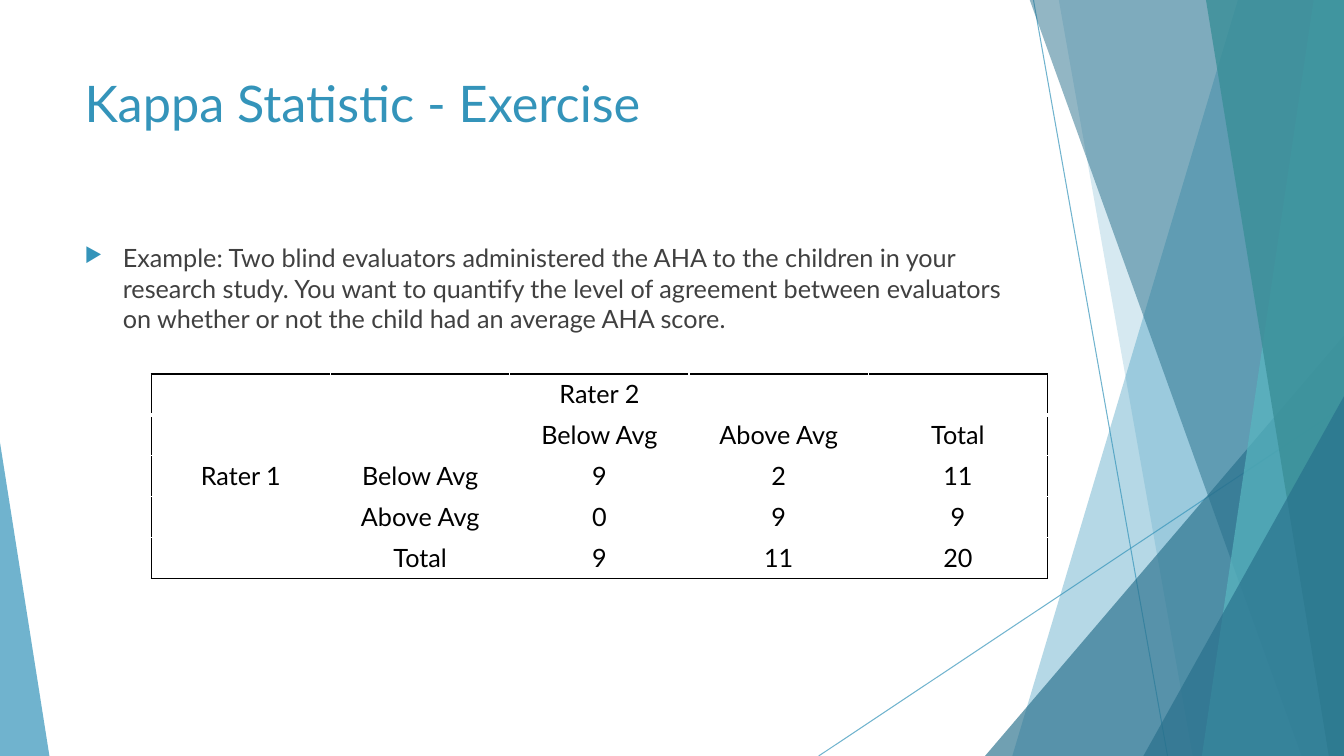
from lxml import etree
from pptx import Presentation
from pptx.dml.color import RGBColor
from pptx.enum.shapes import MSO_CONNECTOR as Connector, MSO_SHAPE as Shape
from pptx.enum.text import MSO_ANCHOR as Anchor, PP_ALIGN as Align
from pptx.oxml import parse_xml
from pptx.oxml.ns import nsdecls, qn
from pptx.util import Inches, Pt

BLUE = RGBColor(0x34, 0x94, 0xBA)
DEEP_BLUE = RGBColor(0x27, 0x6F, 0x8B)
TEAL = RGBColor(0x58, 0xB6, 0xC0)
DEEP_TEAL = RGBColor(0x3A, 0x8F, 0x98)
GREY = RGBColor(0x40, 0x40, 0x40)
BLACK = RGBColor(0, 0, 0)
WHITE = RGBColor(0xFF, 0xFF, 0xFF)
WIDTH, HEIGHT = 13.33, 7.5


def write(frame, text, size=18, color=BLACK, align=Align.LEFT):
    frame.word_wrap = True
    para = frame.paragraphs[0]
    para.alignment = align
    span = para.add_run()
    span.text = text
    span.font.name = "Lato"
    span.font.size = Pt(size)
    span.font.color.rgb = color
    return para


def set_opacity(item, percent):
    for color in item._element.spPr.iter(qn("a:srgbClr")):
        etree.SubElement(color, qn("a:alpha"), val=str(percent * 1000))


deck = Presentation()
deck.slide_width, deck.slide_height = Inches(WIDTH), Inches(HEIGHT)
page = deck.slides.add_slide(deck.slide_layouts[6])

# Thin crossing lines
for ends in [(10.25, 0, 11.58, HEIGHT), (WIDTH, 4.03, 8.12, HEIGHT)]:
    line = page.shapes.add_connector(Connector.STRAIGHT, *map(Inches, ends))
    line.line.color.rgb = BLUE
    line.line.width = Pt(0.75)
    set_opacity(line, 70)
    etree.SubElement(line._element.spPr, qn("a:effectLst"))

# Translucent facets, back to front: bands run from a slanted left side
# (top x, bottom x) to the right edge; triangles have a box and a peak
facets = [
    ("band", (12.28, 10.04), BLUE, 36),
    ("band", (10.5, 11.83), BLUE, 20),
    ("triangle", (9.77, 3.33, 3.56, 4.17, 1), DEEP_BLUE, 66),
    ("band", (10.21, 12.91), DEEP_BLUE, 50),
    ("band", (13.03, 11.92), TEAL, 70),
    ("band", (11.96, 13.18), DEEP_TEAL, 80),
    ("triangle", (11.34, 3.93, 1.99, 3.57, 1), DEEP_BLUE, 66),
    ("triangle", (0, 4.39, 0.49, 3.11, 0), BLUE, 70),
]
for kind, place, color, opacity in facets:
    if kind == "band":
        top_x, bottom_x = place
        corners = [(WIDTH, -0.01), (WIDTH, HEIGHT), (bottom_x, HEIGHT)]
        outline = page.shapes.build_freeform(Inches(top_x), Inches(-0.01))
        outline.add_line_segments([(Inches(x), Inches(y)) for x, y in corners])
        facet = outline.convert_to_shape()
    else:
        *box, peak = place
        facet = page.shapes.add_shape(Shape.ISOSCELES_TRIANGLE, *map(Inches, box))
        facet.adjustments[0] = peak
    facet.shadow.inherit = False
    facet.fill.solid()
    facet.fill.fore_color.rgb = color
    facet.line.fill.background()
    set_opacity(facet, opacity)

# Title
title = page.shapes.add_textbox(Inches(0.74), Inches(0.67), Inches(9.4), Inches(1.44))
write(title.text_frame, "Kappa Statistic - Exercise", size=36, color=BLUE)

# Example with an arrow bullet
body = page.shapes.add_textbox(Inches(0.74), Inches(2.36), Inches(9.4), Inches(4.24))
para = write(
    body.text_frame,
    "Example: Two blind evaluators administered the AHA to the children in your "
    "research study. You want to quantify the level of agreement between evaluators "
    "on whether or not the child had an average AHA score.",
    color=GREY,
)
para.space_before = Pt(10)
bullet = para._p.get_or_add_pPr()
bullet.set("marL", str(Inches(0.38)))
bullet.set("indent", str(-Inches(0.38)))
for xml in (
    f'<a:buClr {nsdecls("a")}><a:srgbClr val="{BLUE}"/></a:buClr>',
    f'<a:buSzPct {nsdecls("a")} val="80000"/>',
    f'<a:buChar {nsdecls("a")} char="▶"/>',
):
    bullet.append(parse_xml(xml))

# Agreement table, outlined in black with white inner borders
ratings = [
    ["", "", "Rater 2", "", ""],
    ["", "", "Below Avg", "Above Avg", "Total"],
    ["Rater 1", "Below Avg", "9", "2", "11"],
    ["", "Above Avg", "0", "9", "9"],
    ["", "Total", "9", "11", "20"],
]
last = len(ratings) - 1
table = page.shapes.add_table(
    5, 5, Inches(1.5), Inches(3.71), Inches(8.89), Inches(2.03)
).table
table.first_row = table.horz_banding = False
for r, row in enumerate(ratings):
    for c, text in enumerate(row):
        cell = table.cell(r, c)
        cell.vertical_anchor = Anchor.TOP
        if text:
            write(cell.text_frame, text, align=Align.CENTER)
        outer = {"L": c == 0, "R": c == last, "T": r == 0, "B": r == last}
        for side, is_outer in outer.items():
            weight = 3 if side == "B" and r == 0 else 1
            cell._tc.get_or_add_tcPr().append(parse_xml(
                f'<a:ln{side} {nsdecls("a")} w="{Pt(weight)}"><a:solidFill>'
                f'<a:srgbClr val="{BLACK if is_outer else WHITE}"/>'
                f'</a:solidFill></a:ln{side}>'
            ))
        cell.fill.solid()
        cell.fill.fore_color.rgb = WHITE

deck.save("out.pptx")
